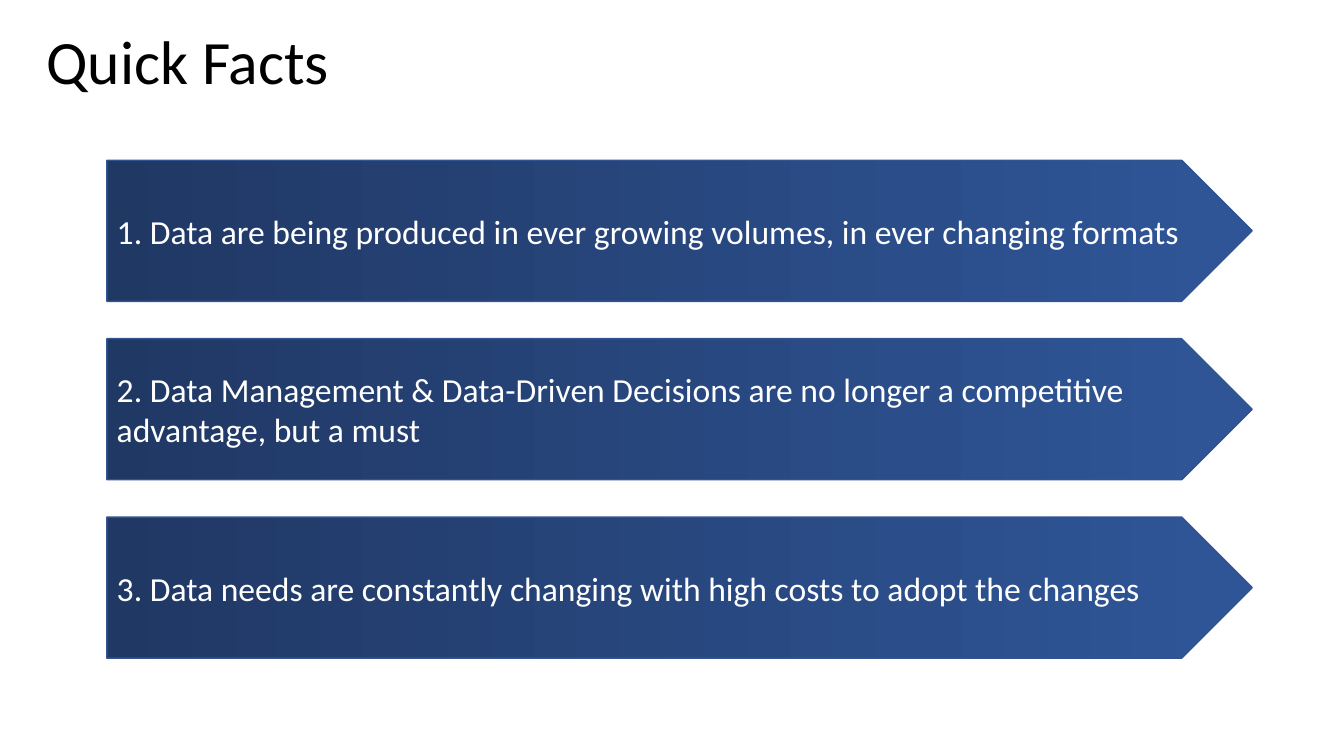
"""Build the "Quick Facts" slide: a title above three arrow banners."""
from dataclasses import dataclass

import pptx
import pptx.dml.color
import pptx.enum.shapes
import pptx.enum.text
import pptx.slide
import pptx.text.text
import pptx.util

Inches = pptx.util.Inches
RGBColor = pptx.dml.color.RGBColor


@dataclass(frozen=True)
class Theme:
    """Colours, font and type sizes of the slide."""
    font: str = "Calibri"
    title_size: int = 44
    fact_size: int = 24
    title_color: str = "000000"
    fact_color: str = "FFFFFF"
    gradient: tuple[tuple[float, str], ...] = ((0, "203864"), (0.97, "2F5597"))
    outline: str = "325491"
    outline_width: float = 1


@dataclass(frozen=True)
class Banner:
    """One fact and the top of its arrow, in inches."""
    text: str
    top: float


THEME = Theme()
FACTS = (
    "1. Data are being produced in ever growing volumes, in ever changing formats",
    "2. Data Management & Data-Driven Decisions are no longer a competitive "
    "advantage, but a must",
    "3. Data needs are constantly changing with high costs to adopt the changes",
)
FIRST_TOP, PITCH = 1.59, 1.77
BANNER_LEFT, BANNER_WIDTH, BANNER_HEIGHT = 1.06, 11.36, 1.4


def write_text(frame: pptx.text.text.TextFrame, text: str, size: int, color: str) -> None:
    """Put left-aligned, vertically centred text in a frame."""
    frame.text = text
    frame.word_wrap = True
    frame.auto_size = pptx.enum.text.MSO_AUTO_SIZE.NONE
    frame.vertical_anchor = pptx.enum.text.MSO_ANCHOR.MIDDLE
    para = frame.paragraphs[0]
    para.alignment = pptx.enum.text.PP_ALIGN.LEFT
    font = para.runs[0].font
    font.name = THEME.font
    font.size = pptx.util.Pt(size)
    font.color.rgb = RGBColor.from_string(color)


def add_title(page: pptx.slide.Slide, text: str) -> None:
    """Place and format the title placeholder."""
    title = page.shapes.title
    title.left, title.top = Inches(0.36), Inches(0.21)
    title.width, title.height = Inches(11.5), Inches(0.87)
    write_text(title.text_frame, text, THEME.title_size, THEME.title_color)
    title.text_frame.paragraphs[0].line_spacing = 0.9


def add_banner(page: pptx.slide.Slide, banner: Banner) -> None:
    """Draw one gradient arrow with its fact."""
    arrow = page.shapes.add_shape(
        pptx.enum.shapes.MSO_SHAPE.PENTAGON,
        Inches(BANNER_LEFT), Inches(banner.top),
        Inches(BANNER_WIDTH), Inches(BANNER_HEIGHT),
    )
    arrow.shadow.inherit = False
    arrow.fill.gradient()
    arrow.fill.gradient_angle = 0
    for stop, (position, color) in zip(arrow.fill.gradient_stops, THEME.gradient):
        stop.position = position
        stop.color.rgb = RGBColor.from_string(color)
    arrow.line.color.rgb = RGBColor.from_string(THEME.outline)
    arrow.line.width = pptx.util.Pt(THEME.outline_width)
    write_text(arrow.text_frame, banner.text, THEME.fact_size, THEME.fact_color)


def main() -> None:
    """Build and save the deck."""
    deck = pptx.Presentation()
    deck.slide_width, deck.slide_height = Inches(13.33), Inches(7.5)
    page = deck.slides.add_slide(deck.slide_layouts.get_by_name("Title Only"))
    add_title(page, "Quick Facts")
    for index, fact in enumerate(FACTS):
        add_banner(page, Banner(fact, FIRST_TOP + index * PITCH))
    deck.save("out.pptx")


main()
